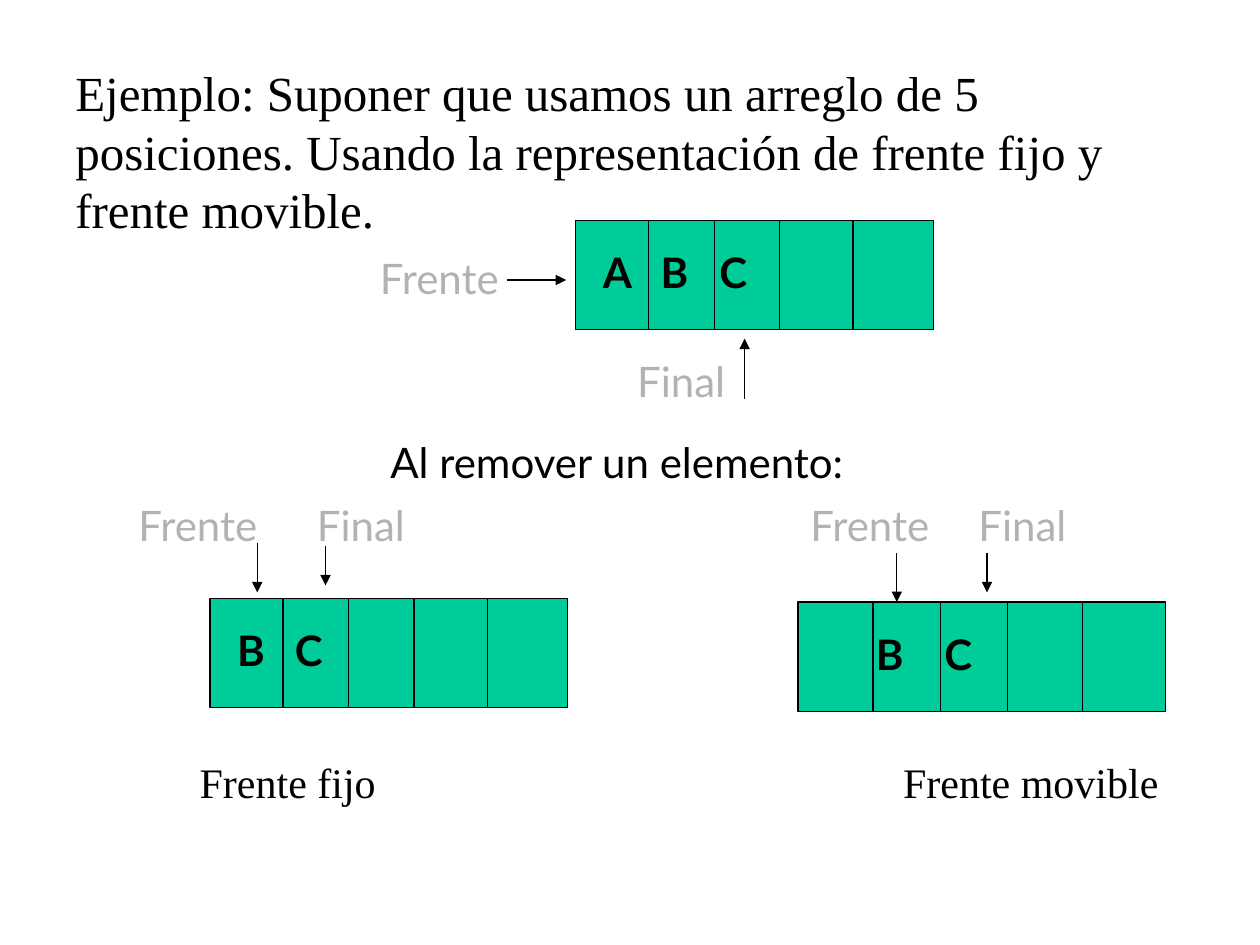
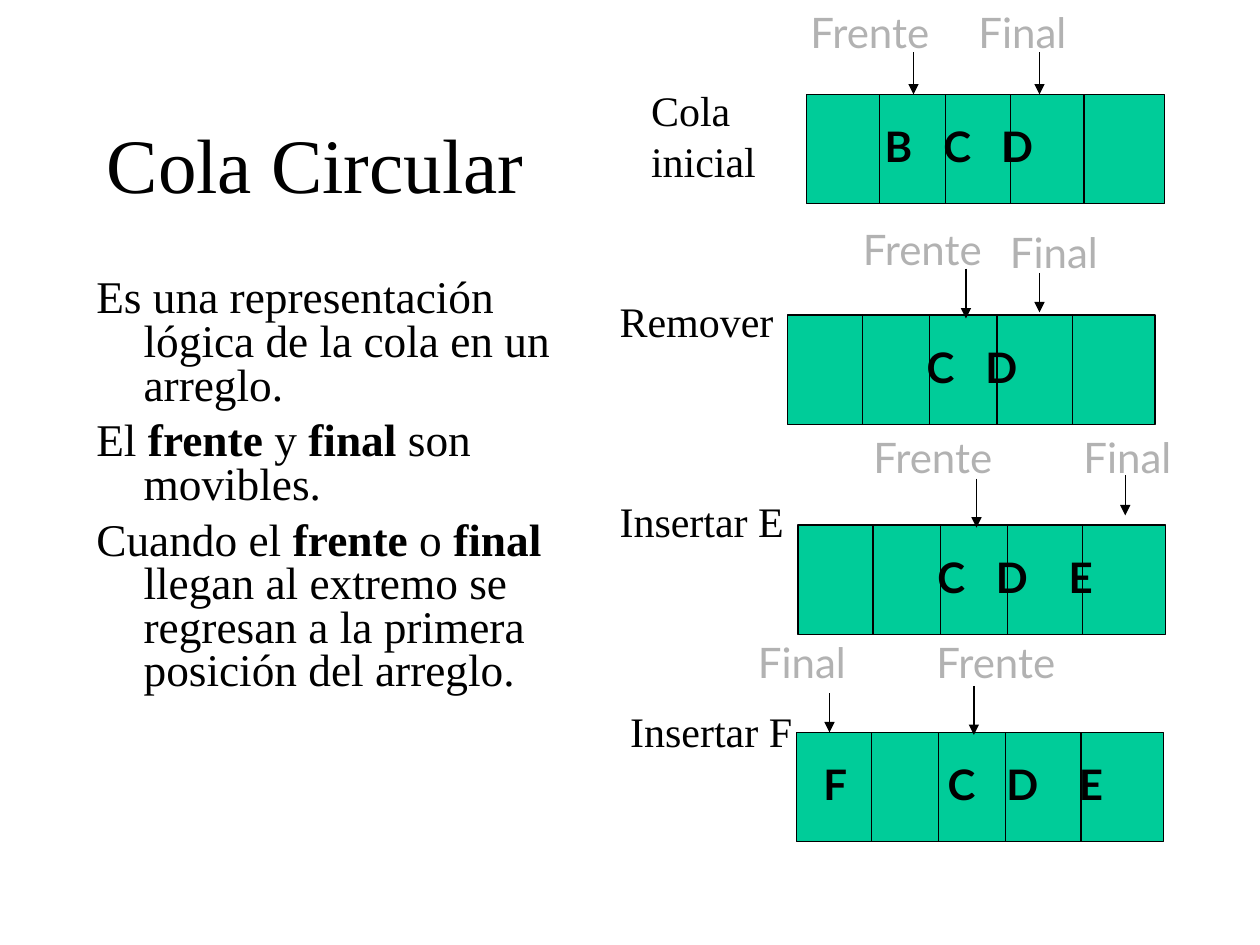
from pptx import Presentation
from pptx.dml.color import RGBColor
from pptx.enum.shapes import MSO_CONNECTOR as Link, MSO_SHAPE as Shape
from pptx.enum.text import MSO_ANCHOR as Anchor, MSO_AUTO_SIZE as Fit
from pptx.oxml.ns import qn
from pptx.util import Pt
from lxml.etree import SubElement

INK, CELL, POINTER, PAPER = "000000", "00CC99", "B2B2B2", "FFFFFF"
SERIF, SANS = "Times New Roman", "Lato"
NARROW, WIDE, QUEUE_HEIGHT = 204.5, 210, 62.5
DIVIDERS = (0.204, 0.387, 0.57, 0.775)

EXAMPLE = ("Ejemplo: Suponer que usamos un arreglo de 5 posiciones. "
           "Usando la representación de frente fijo y frente movible.")
REMOVAL = "Al remover un elemento:"
TITLE = "Cola Circular"
EXPLANATION = [
    "Es una representación lógica de la cola en un arreglo.",
    "El *frente* y *final* son movibles.",
    "Cuando el *frente* o *final* llegan al extremo se regresan "
    "a la primera posición del arreglo.",
]

EXAMPLE_QUEUES = [
    dict(at=(329, 126, NARROW), items=[("A", 0), ("B", 33), ("C", 66.5)],
         frente=(210, 141), final=(357, 199.5),
         arrows=[(289.5, 160, 323.5, 160), (425.5, 228, 425.5, 193.5)]),
    dict(at=(456, 344, WIDE), items=[("B", 29), ("C", 68)],
         frente=(456, 282), final=(552, 282),
         arrows=[(512.5, 316, 512.5, 344), (564, 316, 564, 338.5)],
         caption=(["Frente movible"], 509, 429, 166)),
    dict(at=(120, 342, NARROW), items=[("B", 0), ("C", 33)],
         frente=(72, 282), final=(174, 282),
         arrows=[(147, 310.5, 147, 338.5), (186, 312, 186, 334.5)],
         caption=(["Frente fijo"], 107, 429, 120)),
]

CIRCULAR_QUEUES = [
    dict(at=(461, 54, NARROW), items=[("B", 29), ("C", 62.5), ("D", 95.5)],
         frente=(456, 0), final=(552, 0),
         arrows=[(522, 30, 522, 54), (594, 30, 594, 54)],
         caption=(["Cola", "inicial"], 365, 45, 80)),
    dict(at=(450, 180, WIDE), items=[("C", 64), ("D", 97.5)],
         frente=(486, 124), final=(570, 126),
         arrows=[(552, 153.5, 552, 182), (594, 156, 594, 178.5)],
         caption=(["Remover"], 347, 165.5, 108)),
    dict(at=(456, 300, WIDE), items=[("C", 64), ("D", 97.5), ("E", 139)],
         frente=(492, 243), final=(612, 243),
         arrows=[(558, 273.5, 558, 301.5), (643, 271.5, 643, 294.5)],
         caption=(["Insertar E"], 347, 279.5, 114)),
    dict(at=(455, 418.5, WIDE),
         items=[("F", 0), ("C", 71), ("D", 104.5), ("E", 146)],
         frente=(528, 360), final=(426, 360),
         arrows=[(556.5, 392, 556.5, 420), (474, 396, 474, 418.5)],
         caption=(["Insertar F"], 353, 399.5, 114)),
]


def color(code):
    return RGBColor.from_string(code)


def write(slide, paragraphs, left, top, width, height, size=24, font=SERIF,
          ink=INK, bold=False, before=0, spacing=None, hanging=0, stops=(),
          grow=True, anchor=Anchor.TOP):
    frame = slide.shapes.add_textbox(Pt(left), Pt(top), Pt(width), Pt(height)).text_frame
    frame.word_wrap = True
    frame.auto_size = Fit.SHAPE_TO_FIT_TEXT if grow else Fit.NONE
    frame.vertical_anchor = anchor
    for index, content in enumerate(paragraphs):
        paragraph = frame.paragraphs[0] if index == 0 else frame.add_paragraph()
        paragraph.space_before = Pt(before)
        if spacing:
            paragraph.line_spacing = spacing
        props = paragraph._p.get_or_add_pPr()
        if hanging:
            props.set("marL", str(Pt(hanging)))
            props.set("indent", str(-Pt(hanging)))
        if stops:
            tabs = SubElement(props, qn("a:tabLst"))
            for stop in stops:
                SubElement(tabs, qn("a:tab"), pos=str(Pt(stop)), algn="l")
        for part, words in enumerate(content.split("*")):
            if words:
                run = paragraph.add_run()
                run.text = words
                run.font.size, run.font.name = Pt(size), font
                run.font.bold = bold or part % 2 == 1
                run.font.color.rgb = color(ink)


def draw_line(slide, x1, y1, x2, y2, arrow=False):
    line = slide.shapes.add_connector(Link.STRAIGHT, Pt(x1), Pt(y1), Pt(x2), Pt(y2))
    line.line.color.rgb, line.line.width = color(INK), Pt(0.75)
    if arrow:
        SubElement(line.line._get_or_add_ln(), qn("a:tailEnd"), type="triangle")
    SubElement(line._element.spPr, qn("a:effectLst"))


def draw_queue(slide, at, items, frente, final, arrows, caption=None):
    left, top, width = at
    cells = slide.shapes.add_shape(Shape.RECTANGLE, Pt(left), Pt(top), Pt(width), Pt(QUEUE_HEIGHT))
    cells.shadow.inherit = False
    cells.fill.solid()
    cells.fill.fore_color.rgb = color(CELL)
    cells.line.color.rgb, cells.line.width = color(INK), Pt(0.75)

    letters = "".join(("\t" if stop else "") + letter for letter, stop in items)
    write(slide, [letters], left + 8.5, top + 11.5, width - 8.5, 36, font=SANS,
          bold=True, before=15, stops=[stop for _, stop in items if stop])
    for share in DIVIDERS:
        x = left + width * share
        draw_line(slide, x, top, x, top + QUEUE_HEIGHT)

    write(slide, ["Frente"], *frente, 85, 36, font=SANS, ink=POINTER, before=15)
    write(slide, ["Final"], *final, 73.5, 36, font=SANS, ink=POINTER, before=15)
    for arrow in arrows:
        draw_line(slide, *arrow, arrow=True)
    if caption:
        lines, x, y, room = caption
        write(slide, lines, x, y, room, 7.2 + 28.8 * len(lines))


def add_slide(deck, queues):
    slide = deck.slides.add_slide(deck.slide_layouts[6])
    slide.background.fill.solid()
    slide.background.fill.fore_color.rgb = color(PAPER)
    for queue in queues:
        draw_queue(slide, **queue)
    return slide


def main():
    deck = Presentation()
    deck.slide_width, deck.slide_height = Pt(720), Pt(540)

    example = add_slide(deck, EXAMPLE_QUEUES)
    write(example, [EXAMPLE], 36, 32, 648, 448, size=28, before=7, grow=False)
    write(example, [REMOVAL], 216, 246, 292, 36, font=SANS, before=15)

    circular = add_slide(deck, CIRCULAR_QUEUES)
    write(circular, [TITLE], 54, 48, 324, 90, size=44, grow=False, anchor=Anchor.MIDDLE)
    write(circular, EXPLANATION, 48, 156, 282, 288, size=25.9, before=7,
          spacing=0.8, hanging=27, grow=False)

    deck.save("out.pptx")


if __name__ == "__main__":
    main()
